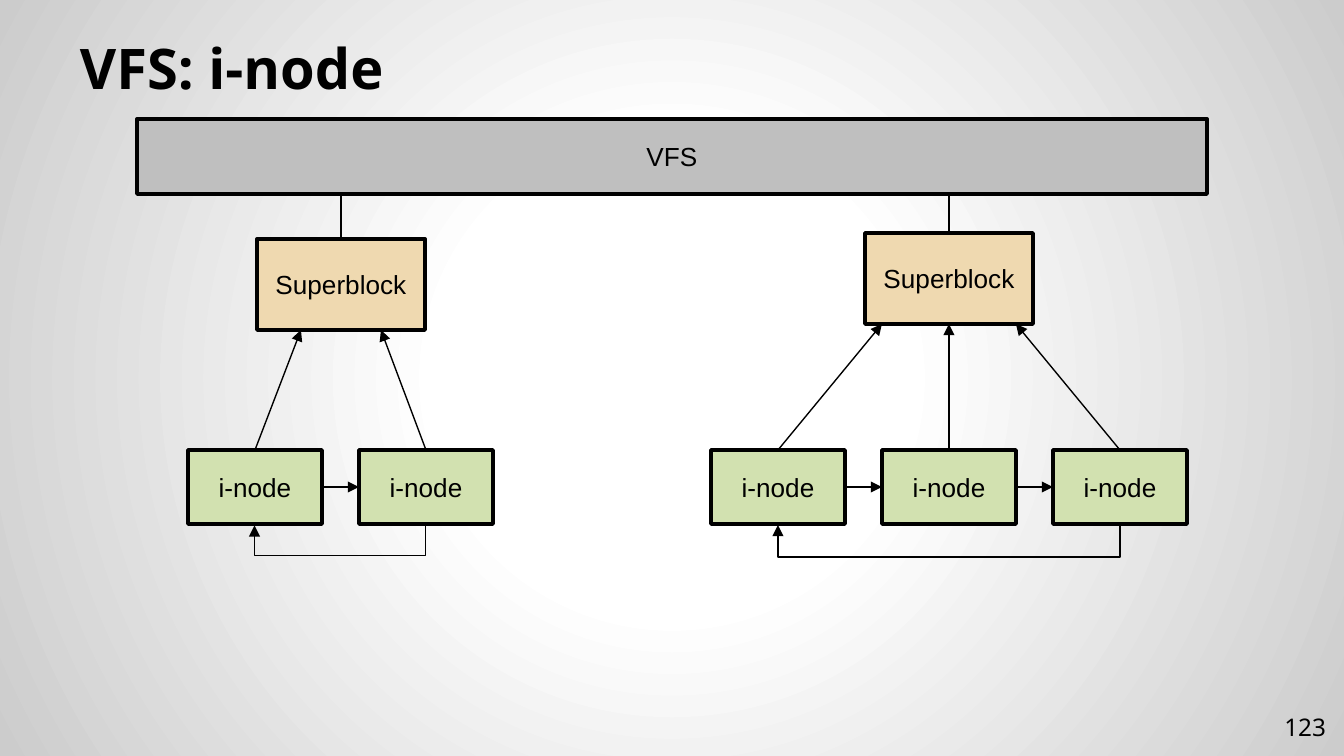
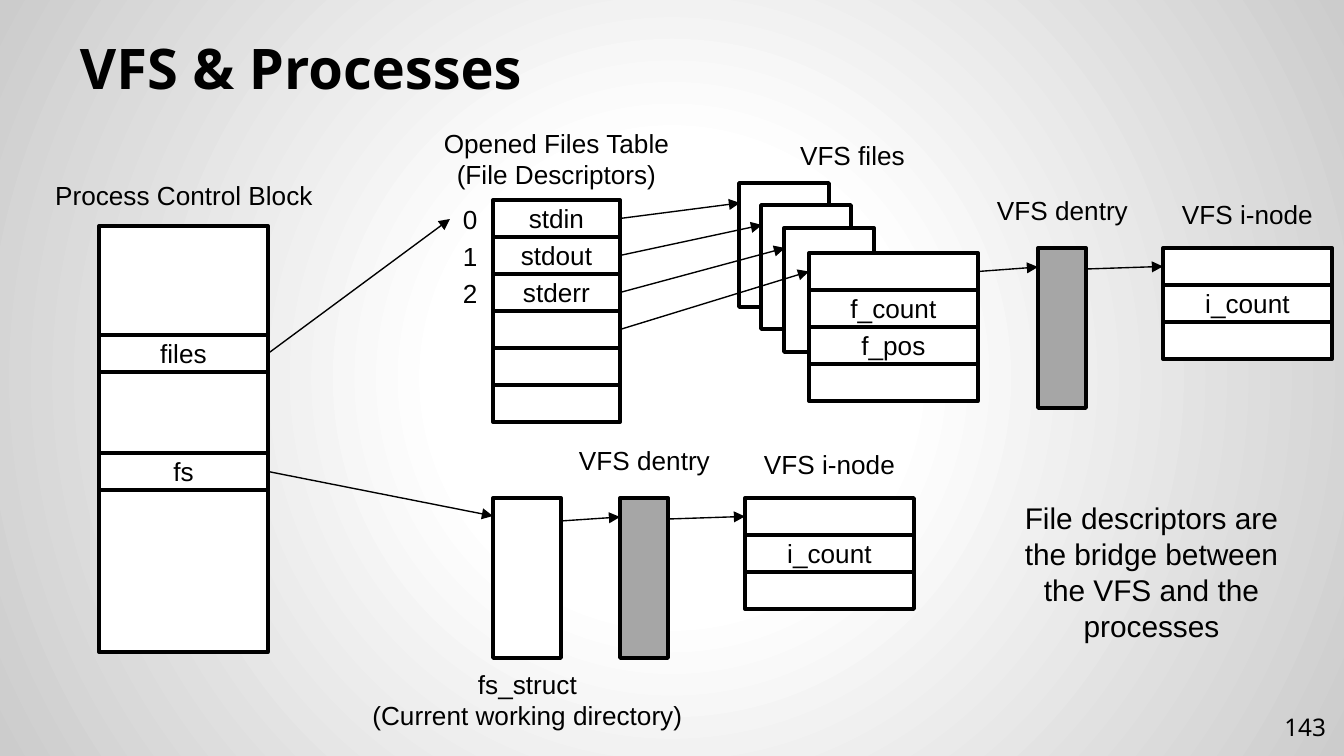
from lxml import etree
from pptx import Presentation
from pptx.dml.color import RGBColor
from pptx.enum.shapes import MSO_CONNECTOR, MSO_SHAPE
from pptx.enum.text import MSO_ANCHOR, MSO_AUTO_SIZE, PP_ALIGN
from pptx.oxml import parse_xml
from pptx.oxml.ns import nsdecls, qn
from pptx.util import Pt

RECT = MSO_SHAPE.RECTANGLE
STRAIGHT, ELBOW = MSO_CONNECTOR.STRAIGHT, MSO_CONNECTOR.ELBOW
TOP, MID, LOW = MSO_ANCHOR.TOP, MSO_ANCHOR.MIDDLE, MSO_ANCHOR.BOTTOM
LEFT, CENTER, RIGHT = PP_ALIGN.LEFT, PP_ALIGN.CENTER, PP_ALIGN.RIGHT
FIXED = MSO_AUTO_SIZE.NONE

PX = 6804
ROW = 37
INK = {
    "black": "000000",
    "white": "FFFFFF",
    "edge": "CCCCCC",
    "bar": "BFBFBF",
    "gray": "A6A6A6",
    "sand": "EFD9B0",
    "green": "D2E1B0",
}


def put(page, text, x, y, w, h, fill=None, shape=None, font="Arial", size=14,
        bold=False, align=CENTER, anchor=TOP, pad=7):
    area = [n * PX for n in (x, y, w, h)]
    if fill:
        shape = page.shapes.add_shape(RECT, *area)
        shape.shadow.inherit = False
        shape.fill.solid()
        shape.fill.fore_color.rgb = RGBColor.from_string(INK[fill])
        shape.line.color.rgb = RGBColor.from_string(INK["black"])
        shape.line.width = Pt(2)
        anchor = MID
    elif shape is None:
        shape = page.shapes.add_textbox(*area)
    shape.left, shape.top, shape.width, shape.height = area
    frame = shape.text_frame
    frame.text = text
    frame.word_wrap = True
    frame.auto_size = FIXED
    frame.vertical_anchor = anchor
    frame.margin_left = frame.margin_right = 13 * PX
    frame.margin_top = frame.margin_bottom = pad * PX
    for para in frame.paragraphs:
        para.alignment = align
        for run in para.runs:
            run.font.name = font
            run.font.size = Pt(size)
            run.font.bold = bold
            run.font.color.rgb = RGBColor.from_string(INK["black"])
    return shape


def link(page, start, end, kind=STRAIGHT, arrow=True):
    line = page.shapes.add_connector(kind, 0, 0, 0, 0)
    if isinstance(start[0], int):
        line.begin_x, line.begin_y = start[0] * PX, start[1] * PX
    else:
        line.begin_connect(*start)
    if isinstance(end[0], int):
        line.end_x, line.end_y = end[0] * PX, end[1] * PX
    else:
        line.end_connect(*end)
    line.line.color.rgb = RGBColor.from_string(INK["black"])
    line.line.width = Pt(0.75)
    props = line.element.spPr
    if arrow:
        etree.SubElement(props.find(qn("a:ln")), qn("a:tailEnd"), type="triangle")
    etree.SubElement(props, qn("a:effectLst"))
    return line


deck = Presentation()
deck.slide_width, deck.slide_height = 1344 * PX, 756 * PX

back = deck.slide_master.background
back.fill.solid()
stops = "".join(
    f'<a:gs pos="{pos}"><a:srgbClr val="{INK[ink]}"/></a:gs>'
    for pos, ink in ((0, "white"), (30000, "white"), (100000, "edge")))
glow = parse_xml(
    f'<a:gradFill {nsdecls("a")} rotWithShape="1"><a:gsLst>{stops}</a:gsLst>'
    '<a:path path="circle"><a:fillToRect l="50000" t="50000" r="50000" b="50000"/>'
    '</a:path></a:gradFill>')
props = deck.slide_master.element.find(".//" + qn("p:bgPr"))
props.replace(props[0], glow)

pages = []
for title, number in (("VFS: i-node", "123"), ("VFS & Processes", "143")):
    page = deck.slides.add_slide(deck.slide_layouts[5])
    put(page, title, 67, 31, 1210, 83, shape=page.shapes.title, font="Noto Sans",
        size=30, bold=True, align=LEFT, anchor=LOW, pad=13)
    put(page, number, 1258, 698, 81, 58, font="Noto Sans", size=13,
        align=RIGHT, anchor=MID, pad=13)
    pages.append(page)
tree, proc = pages

put(tree, "VFS", 137, 119, 1070, 75, fill="bar")
for x, y, left, count, gap, drop in ((257, 239, 188, 2, 80, 32),
                                     (865, 233, 711, 3, 67, 34)):
    top = put(tree, "Superblock", x, y, 168, 91, fill="sand")
    mid = x + 84
    link(tree, (top, 0), (mid, 194), arrow=False)
    nodes = [put(tree, "i-node", left + 171 * i, 450, 134, 74, fill="green")
             for i in range(count)]
    for i, node in enumerate(nodes):
        tip = mid + (2 * i - count + 1) * gap // 2
        link(tree, (node, 0), (top, 2) if tip == mid else (tip, y + 91))
    for node, after in zip(nodes, nodes[1:]):
        link(tree, (node, 3), (after, 1))
    span = 171 * (count - 1)
    hub = left + 67 + span // 2
    loop = link(tree, (hub - 1, 524 - span // 2),
                (hub + 1, 524 - span // 2 + span), kind=ELBOW)
    loop.element.spPr.find(qn("a:xfrm")).set("rot", "5400000")
    geom = loop.element.spPr.find(qn("a:prstGeom"))
    guides = geom.find(qn("a:avLst"))
    if guides is None:
        guides = etree.SubElement(geom, qn("a:avLst"))
    etree.SubElement(guides, qn("a:gd"), name="adj1", fmla=f"val {drop * 50000}")

tips = []
for i in range(3):
    x, y = 739 + 45 * i // 2, 183 + 45 * i // 2
    put(proc, "", x, y, 90, 124, fill="white")
    tips.append((x + 1, y + 20))
put(proc, "VFS files", 741, 132, 223, 46)
file = [put(proc, text, 809, 253 + ROW * i, 169, ROW, fill="white")
        for i, text in enumerate(("", "f_count", "f_pos", ""))]
tips.append((file[0], 1))

put(proc, "Process Control Block", 31, 172, 306, 46)
put(proc, "", 99, 226, 169, 426, fill="white")
files = put(proc, "files", 99, 335, 169, ROW, fill="white")
fs = put(proc, "fs", 99, 453, 169, ROW, fill="white")

put(proc, "Opened Files Table\n(File Descriptors)", 414, 120, 285, 77)
slots = [put(proc, text, 493, 200 + ROW * i, 127, ROW, fill="white")
         for i, text in enumerate(("stdin", "stdout", "stderr", "", "", ""))]
marks = [put(proc, str(i), 450, 196 + ROW * i, 42, 46, align=LEFT)
         for i in range(3)]
for slot, tip in zip(slots, tips):
    link(proc, (slot, 3), tip)
link(proc, (files, 3), (marks[0], 1))

put(proc, "", 493, 498, 68, 160, fill="white")
put(proc, "fs_struct\n(Current working directory)", 358, 661, 339, 77)
link(proc, (fs, 3), (493, 516))

for x, y, start in ((1038, 248, (file[0], 3)), (620, 498, (561, 521))):
    put(proc, "VFS dentry", x - 87, y - 61, 223, 46)
    put(proc, "", x, y, 48, 160, fill="gray")
    put(proc, "VFS i-node", x + 98, y - 57, 223, 46)
    rows = [put(proc, text, x + 125, y + ROW * i, 169, ROW, fill="white")
            for i, text in enumerate(("", "i_count", ""))]
    link(proc, start, (x, y + 19))
    link(proc, (x + 48, y + 21), (rows[0], 1))

put(proc, "File descriptors are the bridge between the VFS and the processes",
    992, 493, 319, 159, size=16)

deck.save("out.pptx")
